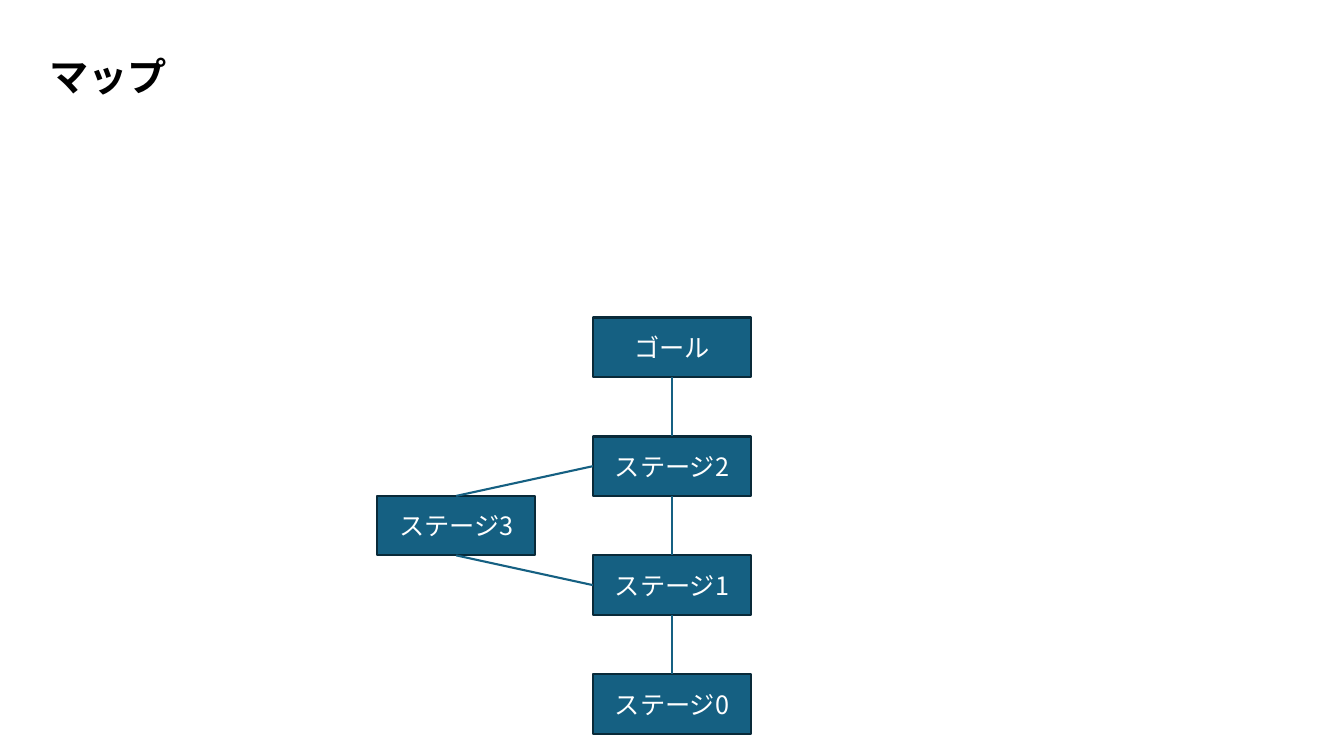
from lxml.etree import SubElement
from pptx import Presentation
from pptx.dml.color import RGBColor
from pptx.enum.shapes import MSO_CONNECTOR, MSO_SHAPE
from pptx.enum.text import MSO_ANCHOR, PP_ALIGN
from pptx.oxml.ns import qn
from pptx.util import Inches, Pt

TITLE = "マップ"
STAGES = {
    "ステージ0": (1, 6),
    "ステージ1": (1, 4),
    "ステージ2": (1, 2),
    "ステージ3": (0, 3),
    "ゴール": (1, 0),
}
LINKS = [
    ("ステージ3", "bottom", "ステージ1", "left"),
    ("ステージ3", "top", "ステージ2", "left"),
    ("ステージ2", "bottom", "ステージ1", "top"),
    ("ステージ1", "bottom", "ステージ0", "top"),
    ("ゴール", "bottom", "ステージ2", "top"),
]
SITES = {"top": 0, "left": 1, "bottom": 2, "right": 3}

THEME = {
    "face": "Noto Sans CJK JP",
    "fill": RGBColor.from_string("156082"),
    "edge": RGBColor.from_string("092A39"),
    "line": Pt(1.5),
    "title": {"size": Pt(28), "bold": True, "color": RGBColor(0, 0, 0)},
    "label": {"size": Pt(18), "bold": False, "color": RGBColor(255, 255, 255)},
}

WIDE, HIGH = 13.33, 7.5
BOX, ROW, STEP = 1.57, 0.59, 2.14
LEFT, TOP = 3.74, 3.15
EDGE = 0.39


def write(frame, text, style, align, space=1.0):
    for key, value in {"word_wrap": True, "vertical_anchor": MSO_ANCHOR.MIDDLE}.items():
        setattr(frame, key, value)
    para = frame.paragraphs[0]
    for key, value in {"alignment": align, "line_spacing": space}.items():
        setattr(para, key, value)
    run = para.add_run()
    run.text = text
    look = {"name": THEME["face"], "size": style["size"], "bold": style["bold"]}
    for key, value in look.items():
        setattr(run.font, key, value)
    run.font.color.rgb = style["color"]
    SubElement(run.font._element, qn("a:ea"), typeface=THEME["face"])


def stroke(line, color):
    line.color.rgb = color
    line.width = THEME["line"]


def add_stage(slide, name, col, row):
    area = LEFT + col * STEP, TOP + row * ROW, BOX, ROW
    box = slide.shapes.add_shape(MSO_SHAPE.RECTANGLE, *map(Inches, area))
    box.shadow.inherit = False
    box.fill.solid()
    box.fill.fore_color.rgb = THEME["fill"]
    stroke(box.line, THEME["edge"])
    write(box.text_frame, name, THEME["label"], PP_ALIGN.CENTER)
    return box


def add_link(slide, start, out, end, into):
    link = slide.shapes.add_connector(MSO_CONNECTOR.STRAIGHT, 0, 0, 0, 0)
    link.begin_connect(start, SITES[out])
    link.end_connect(end, SITES[into])
    stroke(link.line, THEME["fill"])
    SubElement(link._element.spPr, qn("a:effectLst"))


def main():
    deck = Presentation()
    for key, value in {"slide_width": WIDE, "slide_height": HIGH}.items():
        setattr(deck, key, Inches(value))
    slide = deck.slides.add_slide(deck.slide_layouts[6])
    head = slide.shapes.add_textbox(*map(Inches, (EDGE, EDGE, 2.76, 0.79)))
    write(head.text_frame, TITLE, THEME["title"], PP_ALIGN.LEFT, 0.9)
    boxes = {name: add_stage(slide, name, *cell) for name, cell in STAGES.items()}
    for start, out, end, into in LINKS:
        add_link(slide, boxes[start], out, boxes[end], into)
    deck.save("out.pptx")


if __name__ == "__main__":
    main()
